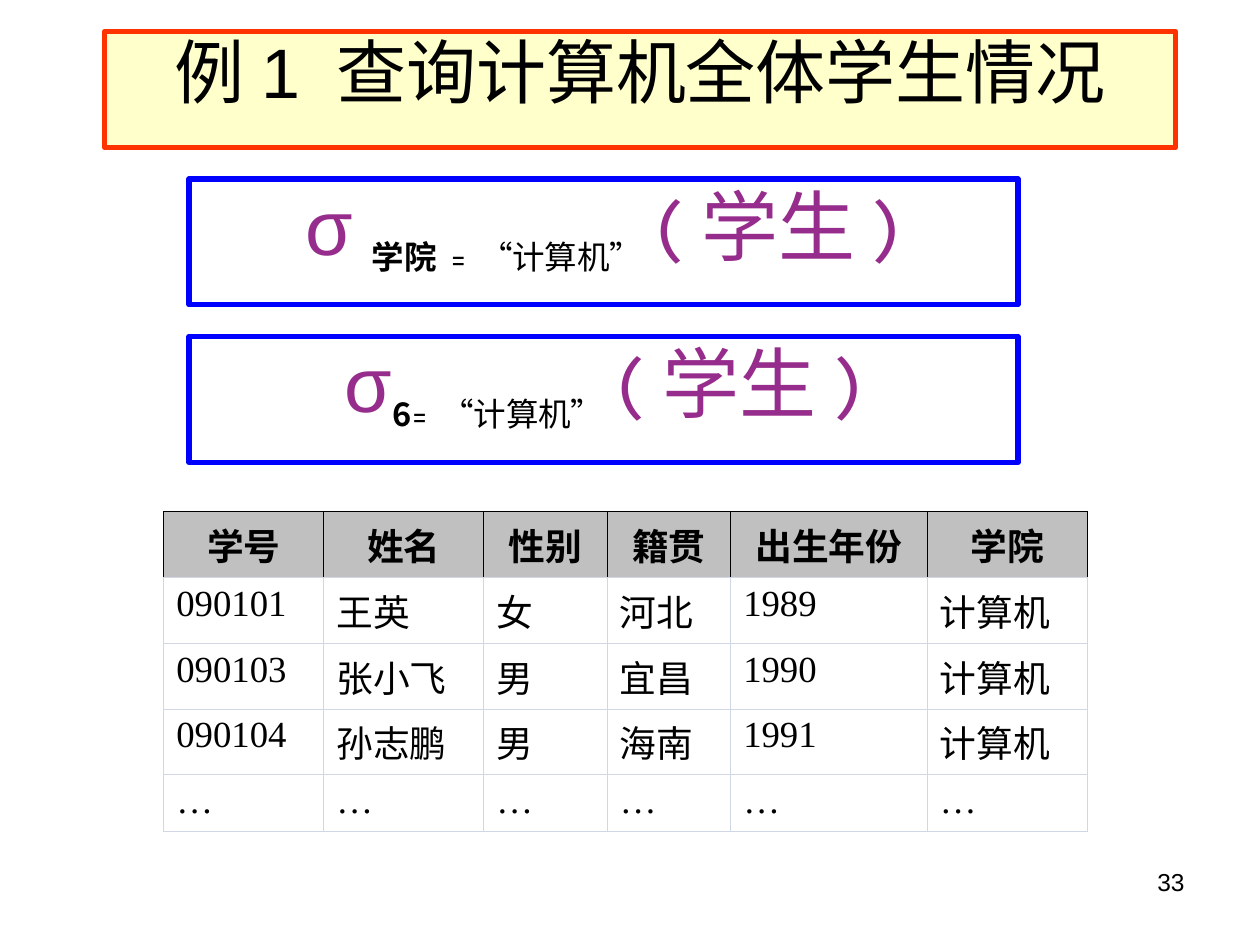
from pptx import Presentation
from pptx.dml.color import RGBColor
from pptx.enum.shapes import MSO_SHAPE as Shape
from pptx.enum.text import MSO_ANCHOR as Anchor, MSO_AUTO_SIZE as AutoSize, PP_ALIGN as Align
from pptx.oxml.ns import qn
from pptx.util import Inches, Pt
from lxml.etree import SubElement

# Content
TITLE = "例1 查询计算机全体学生情况"
PAGE = "33"
CONDITIONS = ["学院", "6"]  # attribute by name, then by column number
ROWS = [
    ("学号", "姓名", "性别", "籍贯", "出生年份", "学院"),
    ("090101", "王英", "女", "河北", "1989", "计算机"),
    ("090103", "张小飞", "男", "宜昌", "1990", "计算机"),
    ("090104", "孙志鹏", "男", "海南", "1991", "计算机"),
    ("…",) * 6,
]
COL_WIDTHS = [1.27, 1.27, 0.98, 0.98, 1.56, 1.27]
ROW_HEIGHT = 0.45

THEME = {
    "black": "000000", "white": "FFFFFF", "cream": "FFFFCC", "red": "FF3300",
    "blue": "0000FF", "purple": "962C8C", "gray": "C0C0C0", "grid": "D0D7E5",
    "sans": "Arial", "serif": "Times New Roman", "formula": "Karla",
    "cjk": "Noto Sans CJK SC",
    "title": 40, "symbol": 44, "sub": 32, "cell": 21, "page": 14,
}


def color(name):
    return RGBColor.from_string(THEME[name])


def add_run(p, text, font, size, ink="black", bold=False, subscript=False):
    r = p.add_run()
    r.text = text
    r.font.name = THEME[font]
    r.font.size = Pt(THEME[size])
    r.font.bold = bold
    r.font.color.rgb = color(ink)
    rPr = r.font._element
    rPr.find(qn("a:latin")).addnext(rPr.makeelement(qn("a:ea"), {"typeface": THEME["cjk"]}))
    if subscript:
        rPr.set("baseline", "-25000")


def style_box(s, fill, line):
    """Fill and outline a box; return its centred first paragraph."""
    s.fill.solid()
    s.fill.fore_color.rgb = color(fill)
    s.line.color.rgb = color(line)
    s.line.width = Pt(3)
    tf = s.text_frame
    tf.word_wrap = True
    tf.auto_size = AutoSize.NONE
    tf.vertical_anchor = Anchor.TOP
    p = tf.paragraphs[0]
    p.alignment = Align.CENTER
    p.line_spacing = 0.9
    pPr = p._p.get_or_add_pPr()
    pPr.set("marL", str(Inches(0.38)))
    pPr.set("indent", str(-Inches(0.38)))
    return p


def set_borders(cell, ink):
    """Draw all sides in one colour, except that the bottom is always grid."""
    tcPr = cell._tc.get_or_add_tcPr()
    for side in ("L", "R", "T", "B"):
        ln = SubElement(tcPr, qn(f"a:ln{side}"), w=str(Pt(0.45)))
        fill = SubElement(ln, qn("a:solidFill"))
        SubElement(fill, qn("a:srgbClr"), val=THEME["grid" if side == "B" else ink])


prs = Presentation()
prs.slide_width, prs.slide_height = Inches(10), Inches(7.5)
slide = prs.slides.add_slide(prs.slide_layouts[5])

# Title
s = slide.shapes.title
s.left, s.top, s.width, s.height = Inches(0.83), Inches(0.25), Inches(8.5), Inches(0.92)
add_run(style_box(s, "cream", "red"), TITLE, "sans", "title")

# Selection formulas
for i, condition in enumerate(CONDITIONS):
    s = slide.shapes.add_shape(Shape.RECTANGLE, Inches(1.5), Inches(1.42 + 1.25 * i),
                               Inches(6.58), Inches(1))
    s.shadow.inherit = False
    p = style_box(s, "white", "blue")
    add_run(p, "σ", "sans", "symbol", "purple")
    add_run(p, condition, "cjk", "sub", bold=True, subscript=True)
    for text, font in [("=", "formula"), ("“", "serif"), ("计算机", "formula"), ("”", "serif")]:
        add_run(p, text, font, "sub", subscript=True)
    add_run(p, "(学生)", "formula", "symbol", "purple")

# Student table
table = slide.shapes.add_table(len(ROWS), len(COL_WIDTHS), Inches(1.3), Inches(4.06),
                               Inches(sum(COL_WIDTHS)), Inches(ROW_HEIGHT * len(ROWS))).table
for column, width in zip(table.columns, COL_WIDTHS):
    column.width = Inches(width)
for i, row in enumerate(ROWS):
    header = i == 0
    for j, text in enumerate(row):
        cell = table.cell(i, j)
        set_borders(cell, "black" if header else "grid")
        cell.fill.solid()
        cell.fill.fore_color.rgb = color("gray" if header else "white")
        cell.vertical_anchor = Anchor.MIDDLE if header else Anchor.TOP
        p = cell.text_frame.paragraphs[0]
        p.alignment = Align.CENTER if header else Align.LEFT
        add_run(p, text, "serif", "cell", bold=header)

# Page number
s = slide.shapes.add_textbox(Inches(7.17), Inches(6.83), Inches(2.33), Inches(0.52))
s.text_frame.word_wrap = True
p = s.text_frame.paragraphs[0]
p.alignment = Align.RIGHT
add_run(p, PAGE, "sans", "page")

prs.save("out.pptx")
